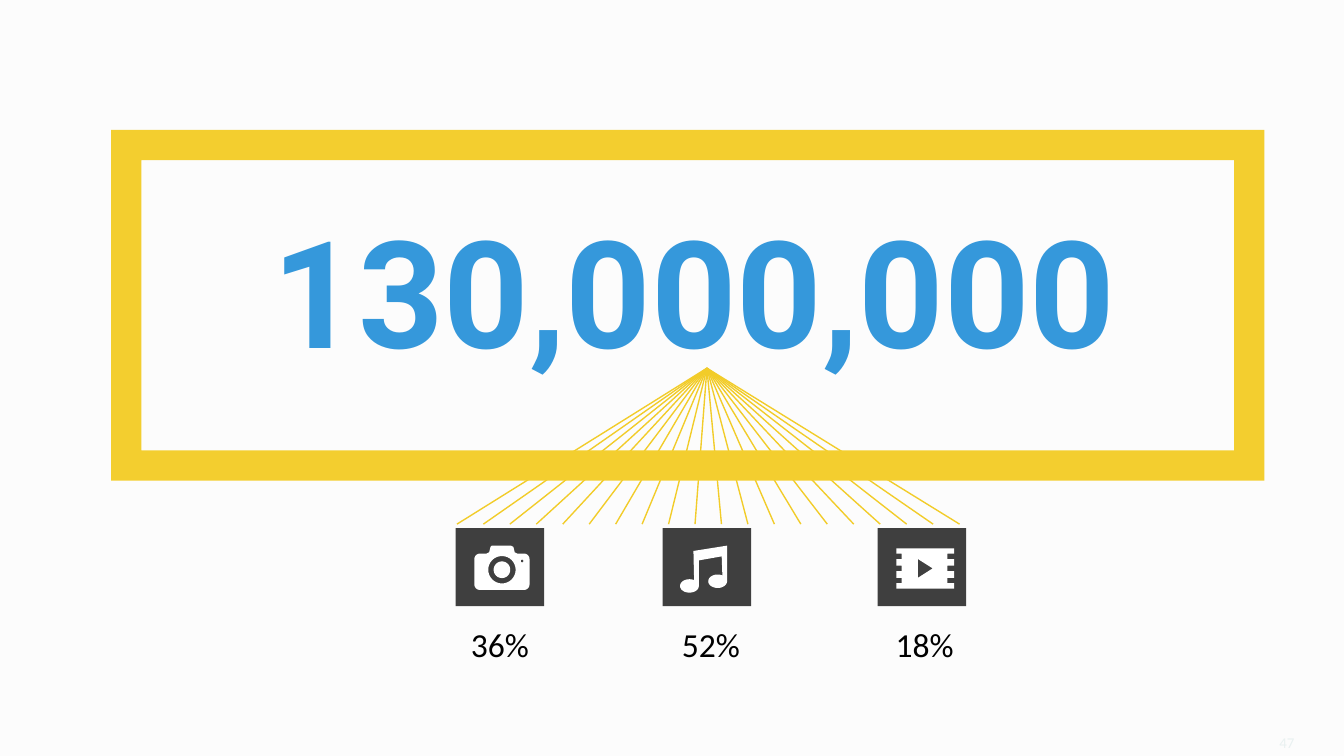
import math

import pptx
import pptx.dml.color
import pptx.enum.shapes
import pptx.enum.text
import pptx.oxml.ns
import pptx.util
from lxml import etree

COLOURS = {
    "background": "FCFCFC",
    "tile": "3F3F3F",
    "ray": "F2CC29",
    "frame": "F3CE2F",
    "number": "3598DB",
    "icon": "FFFFFF",
    "label": "000000",
    "page": "E9F1F1",
}
CELL = 0.1
MIDDLE = pptx.enum.text.MSO_ANCHOR.MIDDLE
TOP = pptx.enum.text.MSO_ANCHOR.TOP
SHAPES = pptx.enum.shapes.MSO_SHAPE


def colour(name):
    return pptx.dml.color.RGBColor.from_string(COLOURS[name])


def cells(*values):
    return [pptx.util.Inches(value * CELL) for value in values]


def arc(centre, radii, start=0, end=360, steps=32):
    angles = [math.radians(start + (end - start) * step / steps) for step in range(steps + 1)]
    return [(centre[0] + radii[0] * math.cos(angle), centre[1] + radii[1] * math.sin(angle))
            for angle in angles]


class SlideBuilder:
    def __init__(self, presentation):
        self.slide = presentation.slides.add_slide(presentation.slide_layouts[6])
        self.shapes = self.slide.shapes
        background = self.slide.background.fill
        background.solid()
        background.fore_color.rgb = colour("background")

    def paint(self, shape, fill):
        shape.shadow.inherit = False
        shape.fill.solid()
        shape.fill.fore_color.rgb = colour(fill)
        shape.line.fill.background()

    def block(self, kind, box, fill):
        shape = self.shapes.add_shape(kind, *cells(*box))
        self.paint(shape, fill)
        return shape

    def text(self, box, words, fill, anchor=MIDDLE, **font_format):
        frame = self.shapes.add_textbox(*cells(*box)).text_frame
        frame.word_wrap = True
        frame.vertical_anchor = anchor
        paragraph = frame.paragraphs[0]
        paragraph.alignment = pptx.enum.text.PP_ALIGN.CENTER
        run = paragraph.add_run()
        run.text = words
        run.font.color.rgb = colour(fill)
        for attribute, value in font_format.items():
            setattr(run.font, attribute, value)

    def fan(self, apex, base_row, first, last, count):
        group = self.shapes.add_group_shape()
        for index in range(count):
            column = first + (last - first) * index / (count - 1)
            connector = group.shapes.add_connector(
                pptx.enum.shapes.MSO_CONNECTOR.STRAIGHT, *cells(column, base_row, *apex))
            connector.line.color.rgb = colour("ray")
            connector.line.width = pptx.util.Pt(0.75)
            properties = connector._element.spPr
            etree.SubElement(properties, pptx.oxml.ns.qn("a:effectLst"))

    def icon(self, contours):
        outlines = [[cells(*point) for point in contour] for contour in contours]
        builder = self.shapes.build_freeform(*outlines[0][0], scale=1.0)
        builder.add_line_segments(outlines[0][1:], close=True)
        for outline in outlines[1:]:
            builder.move_to(*outline[0])
            builder.add_line_segments(outline[1:], close=True)
        self.paint(builder.convert_to_shape(), "icon")


def camera_contours():
    body = [(36.2, 41.2), (36.4, 41.1), (36.5, 40.7), (36.6, 40.6),
            (38.0, 40.6), (38.2, 40.7), (38.3, 41.1), (38.5, 41.2)]
    corners = [((39.0, 41.6), -90), ((39.0, 43.5), 0), ((35.7, 43.5), 90), ((35.7, 41.6), 180)]
    for centre, start in corners:
        body += arc(centre, (0.4, 0.4), start, start + 90, 8)
    lens = (37.35, 42.4)
    return [body, arc(lens, (1.02, 1.02)), arc(lens, (0.62, 0.62)), arc((38.85, 41.75), (0.1, 0.1))]


def note_contours():
    outline = [(51.6, 41.0)]
    outline += arc((51.3, 43.6), (0.7, 0.5), -60, -360)
    outline += [(52.0, 41.7), (53.7, 41.4)]
    outline += arc((53.4, 43.25), (0.7, 0.5), -60, -360)
    return [outline + [(54.1, 40.6)]]


def film_contours():
    def edge(outer, inner):
        points = [(outer, 40.8)]
        for top, bottom in [(41.2, 41.6), (42.1, 42.5), (43.0, 43.4)]:
            points += [(outer, top), (inner, top), (inner, bottom), (outer, bottom)]
        return points + [(outer, 43.8)]

    return [edge(71.0, 70.5) + edge(66.7, 67.1)[::-1],
            [(68.3, 43.0), (68.3, 41.6), (69.4, 42.3)]]


def main():
    presentation = pptx.Presentation()
    presentation.slide_width = pptx.util.Inches(10)
    presentation.slide_height = presentation.slide_width * 9 // 16
    builder = SlideBuilder(presentation)

    media = [
        (33.9, 28.6, "36%", camera_contours),
        (49.3, 44.3, "52%", note_contours),
        (65.3, 60.2, "18%", film_contours),
    ]
    for tile_left, _, _, _ in media:
        builder.block(SHAPES.RECTANGLE, (tile_left, 39.3, 6.6, 5.8), "tile")
    builder.fan((52.6, 27.4), 39.0, 34.0, 71.4, 20)
    builder.text((13.5, 14.35, 76.4, 14.5), "130,000,000", "number", TOP,
                 name="Roboto", size=pptx.util.Pt(80), bold=True)
    for _, label_left, share, contours in media:
        builder.icon(contours())
        builder.text((label_left, 44.45, 17.2, 7.0), share, "label",
                     name="Calibri", size=pptx.util.Pt(18))
    frame = builder.block(SHAPES.FRAME, (8.27, 9.67, 85.8, 26.1), "frame")
    frame.adjustments[0] = 0.086
    builder.text((91.8, 53.3, 7.9, 3.9), "47", "page",
                 name="Calibri", size=pptx.util.Pt(8))
    presentation.save("out.pptx")


if __name__ == "__main__":
    main()
